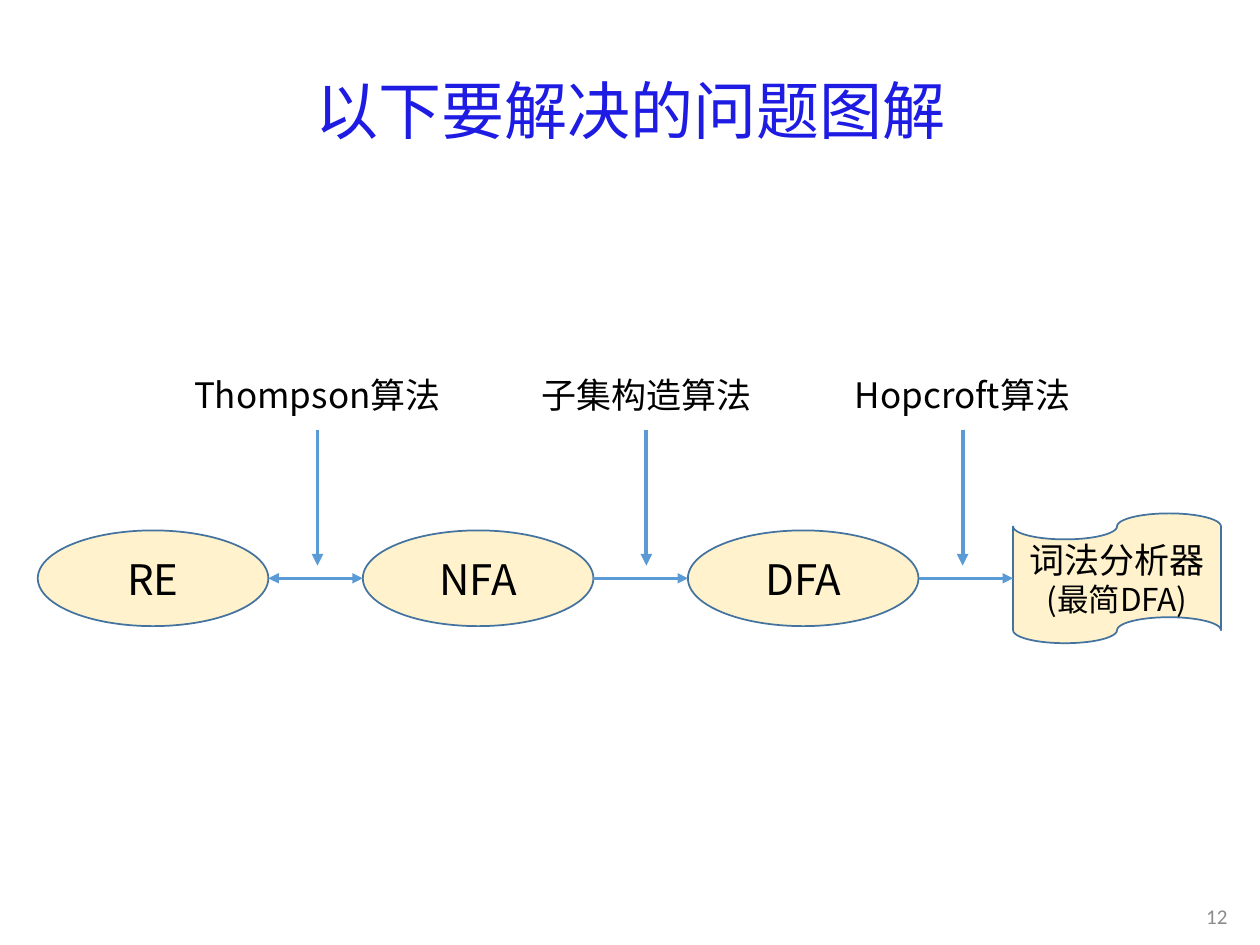
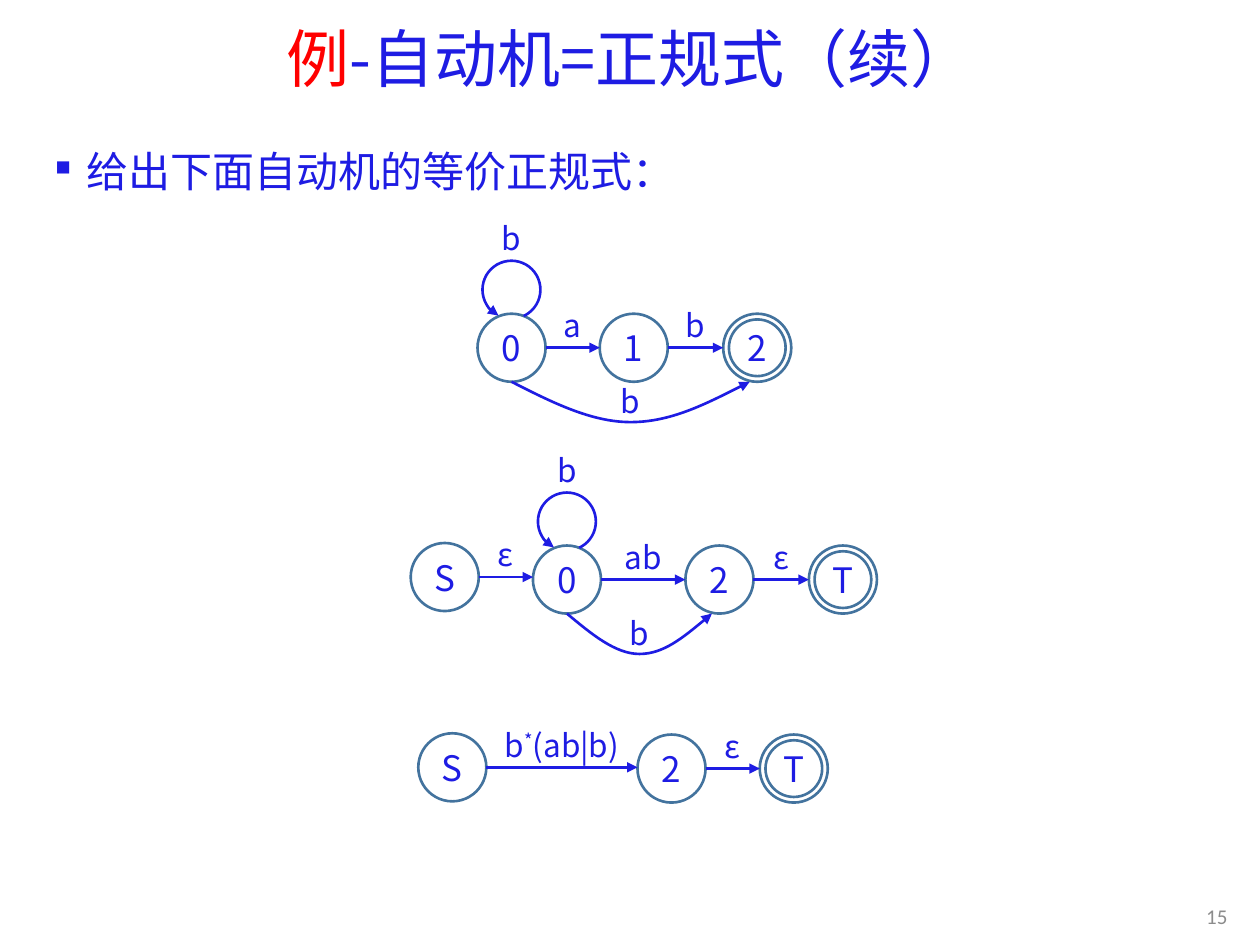
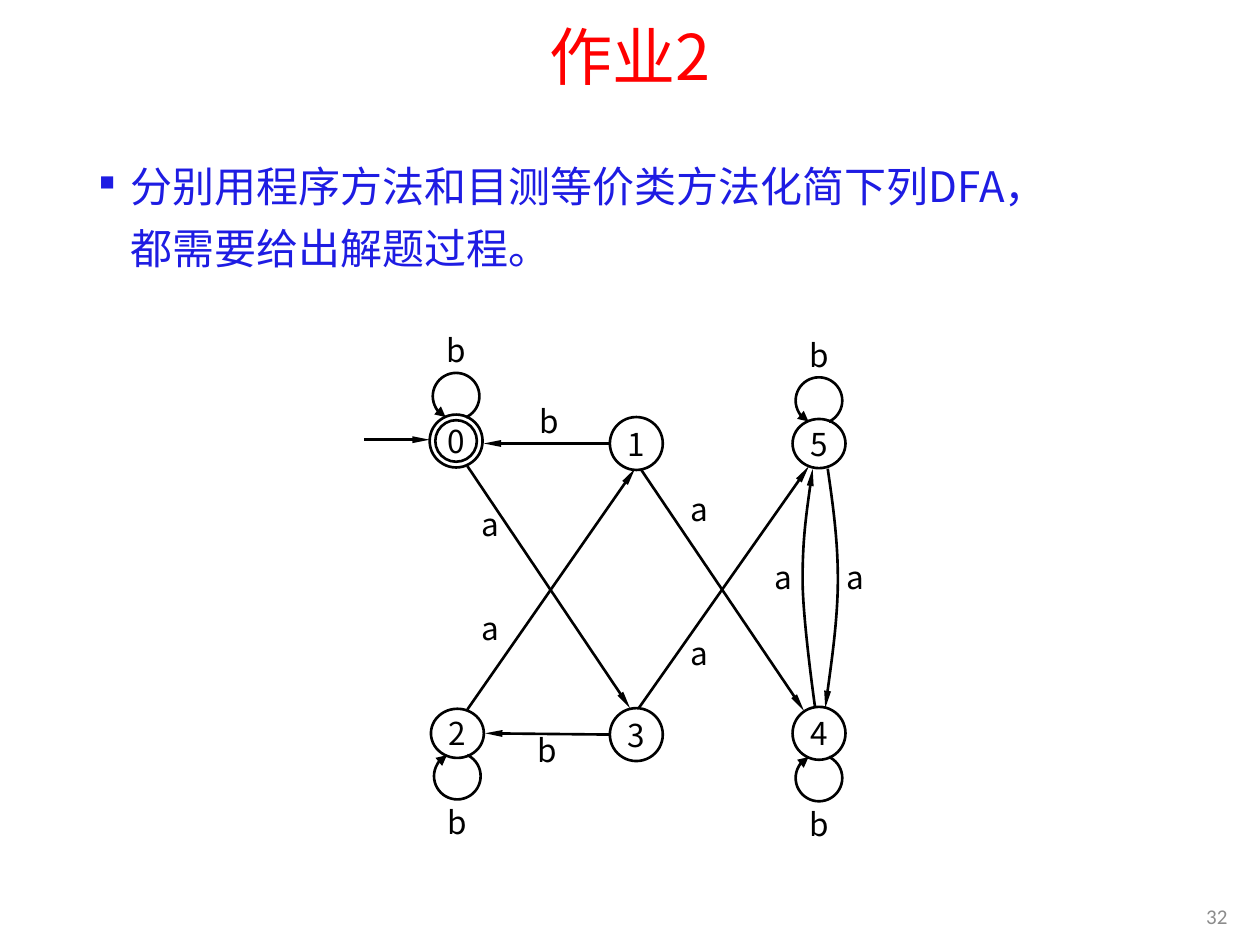
from dataclasses import dataclass
from lxml.etree import SubElement
from pptx import Presentation
from pptx.dml.color import RGBColor
from pptx.enum.shapes import MSO_CONNECTOR as Link, MSO_SHAPE as Preset
from pptx.enum.text import MSO_ANCHOR as Anchor, PP_ALIGN as Align
from pptx.oxml.ns import qn
from pptx.util import Inches, Pt


@dataclass(frozen=True)
class Theme:
    ink: str = "1E1CE3"
    accent: str = "FF0000"
    black: str = "000000"
    muted: str = "8C8C8C"
    cream: str = "FFF2CC"
    outline: str = "43739E"
    arrow: str = "5B9BD5"
    title_font: str = "Noto Sans CJK JP"
    body_font: str = "Noto Sans CJK SC"
    number_font: str = "Calibri"
    title: int = 36
    body: int = 24
    node: int = 20
    label: int = 18
    number: int = 12


THEME = Theme()

PIPELINE_TITLE = [("以下要解决的问题图解", THEME.ink)]
STAGES = ["RE", "NFA", "DFA"]
RESULT = "词法分析器\n(最简DFA)"
ALGORITHMS = [("Thompson算法", 2.52), ("子集构造算法", 5.13), ("Hopcroft算法", 7.64)]
STAGE_LEFT, STAGE_STEP, STAGE_WIDTH, STAGE_HEIGHT = 0.3, 2.58, 1.83, 0.76
RESULT_WIDTH, RESULT_HEIGHT = 1.65, 1.03
PIPELINE_Y = 4.59

EXAMPLE_TITLE = [("例", THEME.accent), ("-自动机=正规式（续）", THEME.ink)]
EXAMPLE_TASK = "给出下面自动机的等价正规式："
AUTOMATA = [
    {
        "states": [("0", 4.06, 2.76), ("1", 5.03, 2.76), ("2", 6.01, 2.76)],
        "edges": ["a", "b"],
        "loop_and_bypass": ("0", "2"),
    },
    {
        "states": [("S", 3.53, 4.58), ("0", 4.5, 4.6), ("2", 5.71, 4.6), ("T", 6.69, 4.6)],
        "edges": ["ε", "ab", "ε"],
        "loop_and_bypass": ("0", "2"),
    },
    {
        "states": [("S", 3.59, 6.09), ("2", 5.33, 6.1), ("T", 6.3, 6.1)],
        "edges": ["b*(ab|b)", "ε"],
    },
]
STATE_SIZE, STATE_LOOP = 0.54, 0.46
BYPASS_DEPTH, BYPASS_SHORTFALL = 0.32, 0.06

HOMEWORK_TITLE = [("作业2", THEME.accent)]
HOMEWORK_TASK = "分别用程序方法和目测等价类方法化简下列DFA，都需要给出解题过程。"
HOMEWORK_STATES = {
    "0": (3.62, 3.5, 0.42), "1": (5.05, 3.52, 0.42), "2": (3.63, 5.82, 0.39),
    "3": (5.05, 5.83, 0.42), "4": (6.5, 5.82, 0.42), "5": (6.5, 3.52, 0.39),
}
HOMEWORK_FINAL = "0"
HOMEWORK_LOOPS = {"0": "above", "5": "above", "2": "below", "4": "below"}
HOMEWORK_WIDTH, HOMEWORK_LOOP = 0.42, 0.37
HOMEWORK_EDGES = [
    ((2.89, 3.49), (3.41, 3.49)),
    ((4.84, 3.52), (3.84, 3.52)),
    ((4.84, 5.83), (3.85, 5.82)),
    ((3.71, 5.63), (5.04, 3.72)),
    ((3.71, 3.7), (5, 5.62)),
    ((5.09, 3.73), (6.38, 5.64)),
    ((5.07, 5.62), (6.42, 3.7)),
]
FIVE_TO_FOUR = [(6.57, 3.72), (6.61, 4), (6.65, 4.28), (6.65, 4.6),
                (6.65, 4.92), (6.55, 5.62), (6.55, 5.62)]
MIRROR_X = 6.51
FOUR_TO_FIVE = [(2 * MIRROR_X - x, y) for x, y in reversed(FIVE_TO_FOUR)]
HOMEWORK_LABELS = [
    ("b", 4.36, 3.34), ("b", 4.34, 5.95),
    ("a", 3.89, 4.16), ("a", 3.89, 4.98), ("a", 5.55, 4.04), ("a", 5.55, 5.18),
    ("a", 6.22, 4.58), ("a", 6.79, 4.58),
]

LABEL_HEIGHT = 0.37
LABEL_GAP = 0.18
LOOP_ANGLES = (70, 39)
LOOP_OVERLAP = 0.04
RING_GAP = 0.09
NARROW = ("sm", "lg")
MEDIUM = ("med", "med")


def style(run, size, color, font=THEME.body_font):
    run.font.size = Pt(size)
    run.font.color.rgb = RGBColor.from_string(color)
    run.font.name = font
    SubElement(run.font._element, qn("a:ea"), typeface=font)


def add_span(paragraph, text, size, color, font=THEME.body_font):
    run = paragraph.add_run()
    run.text = text
    style(run, size, color, font)
    return run


def write(frame, text, size, color, font=THEME.body_font, align=Align.CENTER, inset=0):
    frame.margin_left = frame.margin_right = Inches(inset)
    frame.margin_top = frame.margin_bottom = Inches(inset / 2)
    frame.vertical_anchor = Anchor.MIDDLE
    frame.word_wrap = True
    frame.text = text
    for paragraph in frame.paragraphs:
        paragraph.alignment = align
        for run in paragraph.runs:
            style(run, size, color, font)


def text_area(slide, left, top, width, height):
    return slide.shapes.add_textbox(*map(Inches, (left, top, width, height))).text_frame


def start_slide(deck, title, top, height, number):
    slide = deck.slides.add_slide(deck.slide_layouts[6])
    frame = text_area(slide, 0.69, top, 8.62, height)
    (opening, color), *others = title
    write(frame, opening, THEME.title, color, THEME.title_font)
    heading = frame.paragraphs[0]
    heading.line_spacing = 0.9
    for words, color in others:
        add_span(heading, words, THEME.title, color, THEME.title_font)
    write(text_area(slide, 9.03, 7.07, 0.81, 0.4), str(number), THEME.number,
          THEME.muted, THEME.number_font, Align.RIGHT, inset=0.1)
    return slide


def add_task(slide, text, left, top, width, height):
    frame = text_area(slide, left, top, width, height)
    write(frame, text, THEME.body, THEME.ink, align=Align.LEFT, inset=0.1)
    frame.vertical_anchor = Anchor.TOP
    task = frame.paragraphs[0]
    task.line_spacing = Pt(35)
    task.space_before = task.space_after = Pt(6)
    layout = task._element.get_or_add_pPr()
    layout.set("marL", str(Inches(0.25)))
    layout.set("indent", str(Inches(-0.25)))
    SubElement(layout, qn("a:buSzPct"), val="50000")
    SubElement(layout, qn("a:buChar"), char="■")


def add_label(slide, text, x, y, color, width=0.45, size=THEME.label):
    frame = text_area(slide, x - width / 2, y - LABEL_HEIGHT / 2, width, LABEL_HEIGHT)
    base, star, rest = text.partition("*")
    write(frame, base, size, color)
    if star:
        raised = add_span(frame.paragraphs[0], star, size, color)
        raised.font._element.set("baseline", "30000")
        add_span(frame.paragraphs[0], rest, size, color)


def draw(shape, color, width, fill=None):
    shape.shadow.inherit = False
    if fill:
        shape.fill.solid()
        shape.fill.fore_color.rgb = RGBColor.from_string(fill)
    else:
        shape.fill.background()
    shape.line.color.rgb = RGBColor.from_string(color)
    shape.line.width = Pt(width)


def add_tips(shape, *sides, size=MEDIUM):
    stroke = shape._element.spPr.find(qn("a:ln"))
    for side in sides:
        SubElement(stroke, qn(f"a:{side}End"), type="triangle", w=size[0], len=size[1])


def add_centred(slide, preset, x, y, width, height, color, weight=1.5, fill=None):
    box = (x - width / 2, y - height / 2, width, height)
    shape = slide.shapes.add_shape(preset, *map(Inches, box))
    draw(shape, color, weight, fill)
    return shape


def add_arrow(slide, start, end, color, width=1.5, sides=("tail",), size=MEDIUM):
    arrow = slide.shapes.add_connector(Link.STRAIGHT, *map(Inches, start + end))
    arrow.line.color.rgb = RGBColor.from_string(color)
    arrow.line.width = Pt(width)
    add_tips(arrow, *sides, size=size)
    SubElement(arrow._element.spPr, qn("a:effectLst"))
    return arrow


def add_curve(slide, points, color, size=MEDIUM):
    start, *others = [(Inches(x), Inches(y)) for x, y in points]
    builder = slide.shapes.build_freeform(*start)
    builder.add_line_segments(others, close=False)
    curve = builder.convert_to_shape()
    draw(curve, color, 1.5)
    add_tips(curve, "tail", size=size)
    outline = next(curve._element.iter(qn("a:path")))
    steps = outline.findall(qn("a:lnTo"))
    for first in range(0, len(steps), 3):
        bend = SubElement(outline, qn("a:cubicBezTo"))
        for step in steps[first:first + 3]:
            bend.append(step[0])
            outline.remove(step)


def add_state(slide, name, x, y, width, height, outline, size, color, final):
    state = add_centred(slide, Preset.OVAL, x, y, width, height, outline)
    write(state.text_frame, name, size, color)
    if final:
        add_centred(slide, Preset.OVAL, x, y, width - RING_GAP, height - RING_GAP, outline)


def add_self_loop(slide, label, x, y, state_height, size, color, side="above"):
    direction = 1 if side == "below" else -1
    loop_y = y + direction * (state_height / 2 - LOOP_OVERLAP + size / 2)
    loop = add_centred(slide, Preset.ARC, x, loop_y, size, size, color)
    loop.adjustments[0], loop.adjustments[1] = LOOP_ANGLES
    add_tips(loop, "head")
    if side == "below":
        loop._element.spPr.xfrm.set("flipV", "1")
    add_label(slide, label, x, loop_y + direction * (size / 2 + LABEL_GAP), color)


def add_bypass(slide, label, start_x, end_x, y):
    step = (end_x - start_x) / 6
    depths = [0, 0.5, 1, 1, 1, 0.5, 0]
    points = [(start_x + step * i, y + BYPASS_DEPTH * depth)
              for i, depth in enumerate(depths)]
    add_curve(slide, points, THEME.ink)
    add_label(slide, label, (start_x + end_x) / 2, y + 0.15, THEME.ink)


def pipeline_slide(deck):
    slide = start_slide(deck, PIPELINE_TITLE, 0.48, 0.85, 12)
    lefts = [STAGE_LEFT + STAGE_STEP * i for i in range(len(STAGES) + 1)]
    for name, left in zip(STAGES, lefts):
        stage = add_centred(slide, Preset.OVAL, left + STAGE_WIDTH / 2, PIPELINE_Y,
                            STAGE_WIDTH, STAGE_HEIGHT, THEME.outline, 1, THEME.cream)
        write(stage.text_frame, name, THEME.body, THEME.black)

    result = add_centred(slide, Preset.FLOWCHART_PUNCHED_TAPE,
                         lefts[-1] + RESULT_WIDTH / 2, PIPELINE_Y,
                         RESULT_WIDTH, RESULT_HEIGHT, THEME.outline, 1, THEME.cream)
    write(result.text_frame, RESULT, THEME.node, THEME.black)
    result.text_frame.paragraphs[1].runs[0].font.size = Pt(THEME.label)

    for i, (left, next_left) in enumerate(zip(lefts, lefts[1:])):
        sides = ("tail",) if i else ("head", "tail")
        step = add_arrow(slide, (left + STAGE_WIDTH, PIPELINE_Y), (next_left, PIPELINE_Y),
                         THEME.arrow, sides=sides)
    step.end_connect(result, 1)

    for name, x in ALGORITHMS:
        add_label(slide, name, x, 3.13, THEME.black, 2.35, THEME.node)
        add_arrow(slide, (x, 3.41), (x, 4.49), THEME.arrow, 2.25)


def example_slide(deck):
    slide = start_slide(deck, EXAMPLE_TITLE, 0.18, 0.62, 15)
    add_task(slide, EXAMPLE_TASK, 0.34, 1.02, 5.39, 0.69)
    radius = STATE_SIZE / 2
    for automaton in AUTOMATA:
        states = automaton["states"]
        for name, x, y in states:
            add_state(slide, name, x, y, STATE_SIZE, STATE_SIZE, THEME.outline,
                      THEME.node, THEME.ink, final=name == states[-1][0])
        for label, (_, x, y), (_, next_x, _) in zip(automaton["edges"], states, states[1:]):
            start, end = x + radius, next_x - radius
            add_arrow(slide, (start, y), (end, y), THEME.ink)
            add_label(slide, label, (start + end) / 2, y - LABEL_GAP, THEME.ink, end - start)
        if "loop_and_bypass" in automaton:
            places = {name: (x, y) for name, x, y in states}
            source, target = automaton["loop_and_bypass"]
            x, y = places[source]
            add_self_loop(slide, "b", x, y, STATE_SIZE, STATE_LOOP, THEME.ink)
            add_bypass(slide, "b", x, places[target][0] - BYPASS_SHORTFALL, y + radius)


def homework_slide(deck):
    slide = start_slide(deck, HOMEWORK_TITLE, 0.16, 0.64, 32)
    add_task(slide, HOMEWORK_TASK, 0.69, 1.14, 8, 1.08)
    for name, (x, y, height) in HOMEWORK_STATES.items():
        add_state(slide, name, x, y, HOMEWORK_WIDTH, height, THEME.black,
                  THEME.label, THEME.black, final=name == HOMEWORK_FINAL)
    for name, side in HOMEWORK_LOOPS.items():
        add_self_loop(slide, "b", *HOMEWORK_STATES[name], HOMEWORK_LOOP, THEME.black, side)
    for start, end in HOMEWORK_EDGES:
        add_arrow(slide, start, end, THEME.black, size=NARROW)
    for points in (FIVE_TO_FOUR, FOUR_TO_FIVE):
        add_curve(slide, points, THEME.black, NARROW)
    for label, x, y in HOMEWORK_LABELS:
        add_label(slide, label, x, y, THEME.black)


def main():
    deck = Presentation()
    deck.slide_width, deck.slide_height = Inches(10), Inches(7.5)
    pipeline_slide(deck)
    example_slide(deck)
    homework_slide(deck)
    deck.save("out.pptx")


if __name__ == "__main__":
    main()
